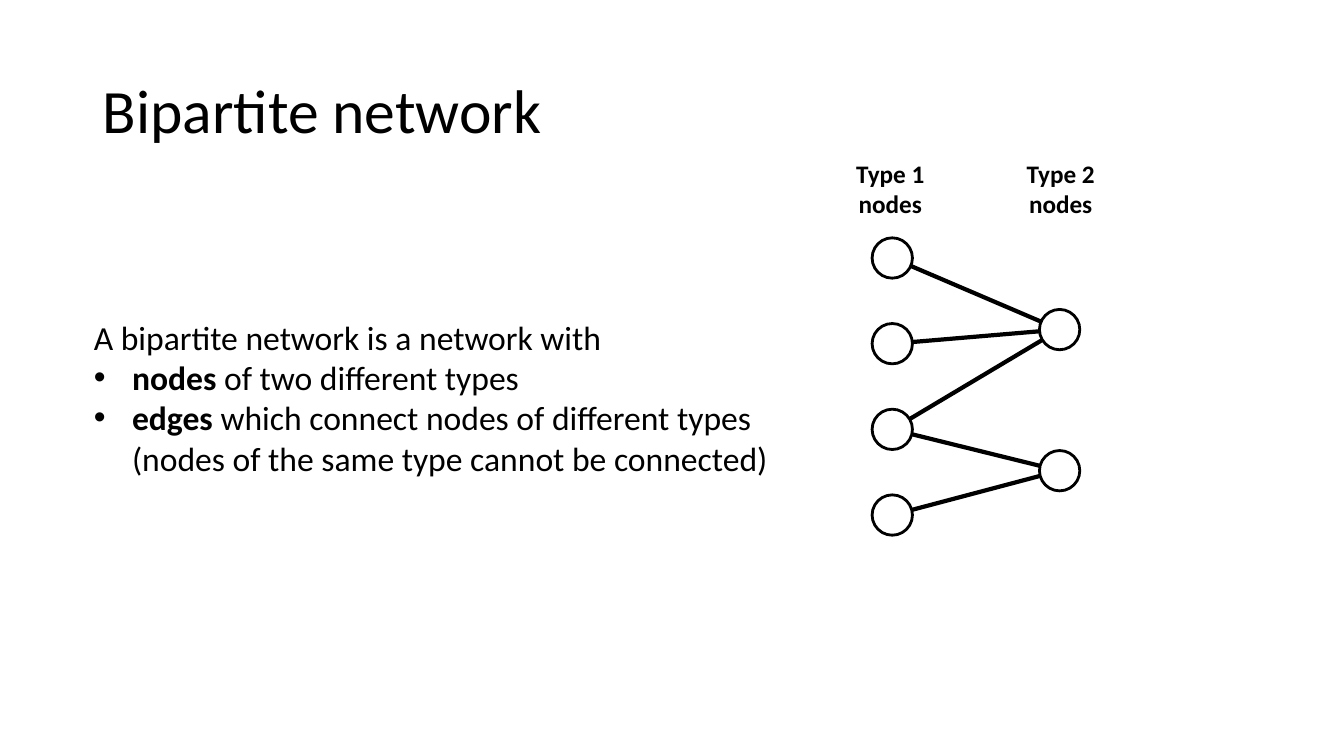
from lxml import etree
from pptx import Presentation
from pptx.dml.color import RGBColor
from pptx.enum import shapes, text
from pptx.oxml.ns import qn
from pptx.util import Inches, Pt

BLACK = RGBColor(0, 0, 0)
WHITE = RGBColor(255, 255, 255)
FONT = "Calibri"
NODE_SIZE = 0.4


def place(sp, left, top, width, height):
    sp.left, sp.top = Inches(left), Inches(top)
    sp.width, sp.height = Inches(width), Inches(height)


def style_run(r, size, bold=False):
    r.font.name = FONT
    r.font.size = Pt(size)
    r.font.bold = bold
    r.font.color.rgb = BLACK


def set_bullet(p, char=None):
    pPr = p._p.get_or_add_pPr()
    indent = Inches(0.38) if char else 0
    pPr.set("marL", str(indent))
    pPr.set("indent", str(-indent))
    if char:
        etree.SubElement(pPr, qn("a:buFont")).set("typeface", "Arial")
        etree.SubElement(pPr, qn("a:buChar")).set("char", char)
    else:
        etree.SubElement(pPr, qn("a:buNone"))


def add_title(slide, left, top, width, height):
    sp = slide.shapes.title
    place(sp, left, top, width, height)
    tf = sp.text_frame
    tf.text = "Bipartite network"
    tf.auto_size = text.MSO_AUTO_SIZE.NONE
    tf.vertical_anchor = text.MSO_ANCHOR.MIDDLE
    p = tf.paragraphs[0]
    p.alignment = text.PP_ALIGN.LEFT
    p.line_spacing = 0.9
    style_run(p.runs[0], 44)


def add_definition(slide, left, top, width, height):
    sp = slide.placeholders[1]
    place(sp, left, top, width, height)
    tf = sp.text_frame
    tf.auto_size = text.MSO_AUTO_SIZE.NONE
    tf.vertical_anchor = text.MSO_ANCHOR.TOP
    lines = [
        ("", "A bipartite network is a network with"),
        ("nodes", " of two different types"),
        ("edges", " which connect nodes of different types "
                  "(nodes of the same type cannot be connected)"),
    ]
    for i, (term, rest) in enumerate(lines):
        p = tf.add_paragraph() if i else tf.paragraphs[0]
        p.line_spacing = 1.0
        p.space_before = Pt(0)
        set_bullet(p, "•" if term else None)
        for words, bold in ((term, True), (rest, False)):
            if words:
                r = p.add_run()
                r.text = words
                style_run(r, 24, bold)


def add_edge(slide, start, end):
    sp = slide.shapes.add_connector(
        shapes.MSO_CONNECTOR.STRAIGHT, *map(Inches, start + end))
    sp.line.color.rgb = BLACK
    sp.line.width = Pt(3)
    etree.SubElement(sp._element.spPr, qn("a:effectLst"))


def add_node(slide, x, y):
    sp = slide.shapes.add_shape(
        shapes.MSO_SHAPE.OVAL, Inches(x - NODE_SIZE / 2),
        Inches(y - NODE_SIZE / 2), Inches(NODE_SIZE), Inches(NODE_SIZE))
    sp.shadow.inherit = False
    sp.fill.solid()
    sp.fill.fore_color.rgb = WHITE
    sp.line.color.rgb = BLACK
    sp.line.width = Pt(2)


def add_heading(slide, caption, center, top):
    width = 1.02
    sp = slide.shapes.add_textbox(
        Inches(center - width / 2), Inches(top), Inches(width), Inches(0.71))
    tf = sp.text_frame
    tf.word_wrap = True
    tf.text = caption
    p = tf.paragraphs[0]
    p.alignment = text.PP_ALIGN.CENTER
    style_run(p.runs[0], 18, True)


def add_network(slide, left, top, width):
    x1 = left + 0.53
    x2 = left + width - 0.52
    type1 = [(x1, top + 1.04 + 0.85 * i) for i in range(4)]
    type2 = [(x2, top + 1.75 + 1.4 * i) for i in range(2)]
    for a, b in ((0, 0), (1, 0), (2, 0), (2, 1), (3, 1)):
        add_edge(slide, type2[b], type1[a])
    for x, y in type1 + type2:
        add_node(slide, x, y)
    add_heading(slide, "Type 1 nodes", x1 - 0.02, top)
    add_heading(slide, "Type 2 nodes", x2 + 0.01, top)


def main():
    prs = Presentation()
    prs.slide_width, prs.slide_height = Inches(13.33), Inches(7.5)
    slide = prs.slides.add_slide(prs.slide_layouts[1])
    add_title(slide, 0.92, 0.4, 11.5, 1.45)
    add_definition(slide, 0.83, 3.09, 7.07, 1.72)
    add_network(slide, 8.32, 1.52, 2.71)
    prs.save("out.pptx")


if __name__ == "__main__":
    main()
